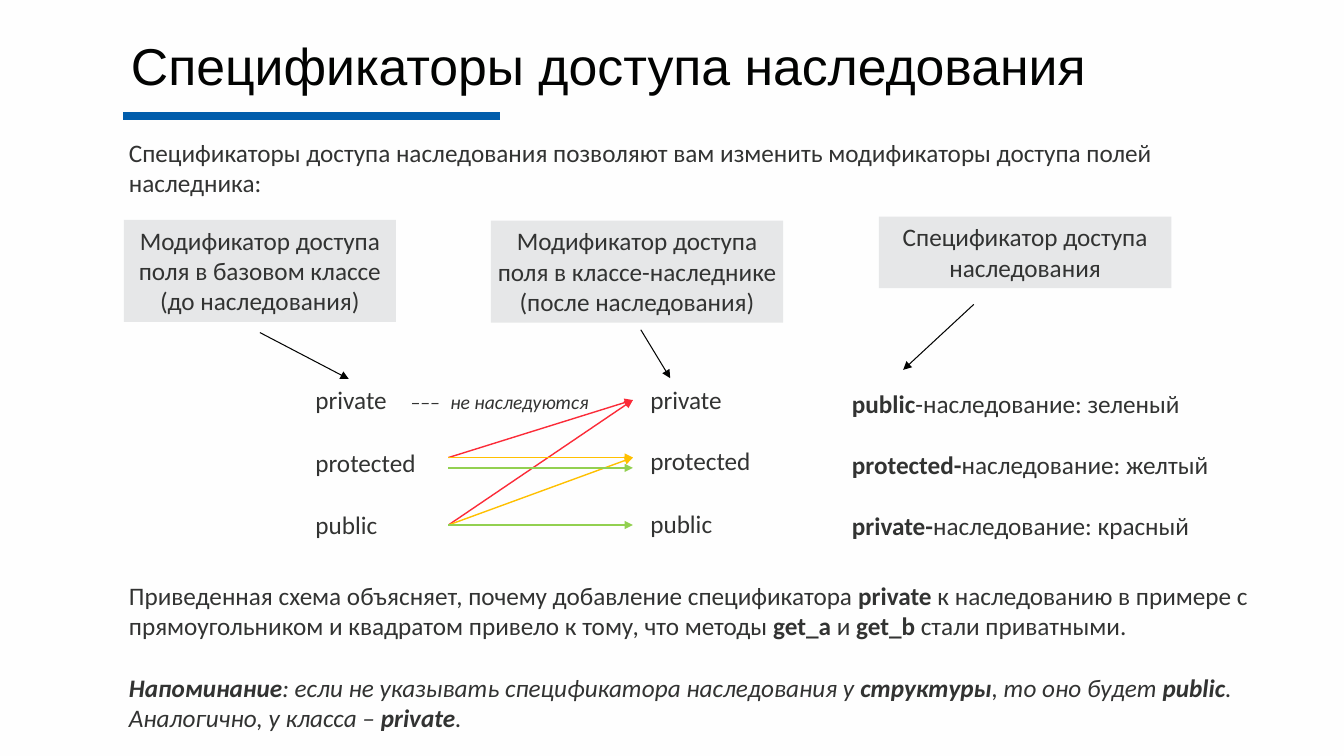
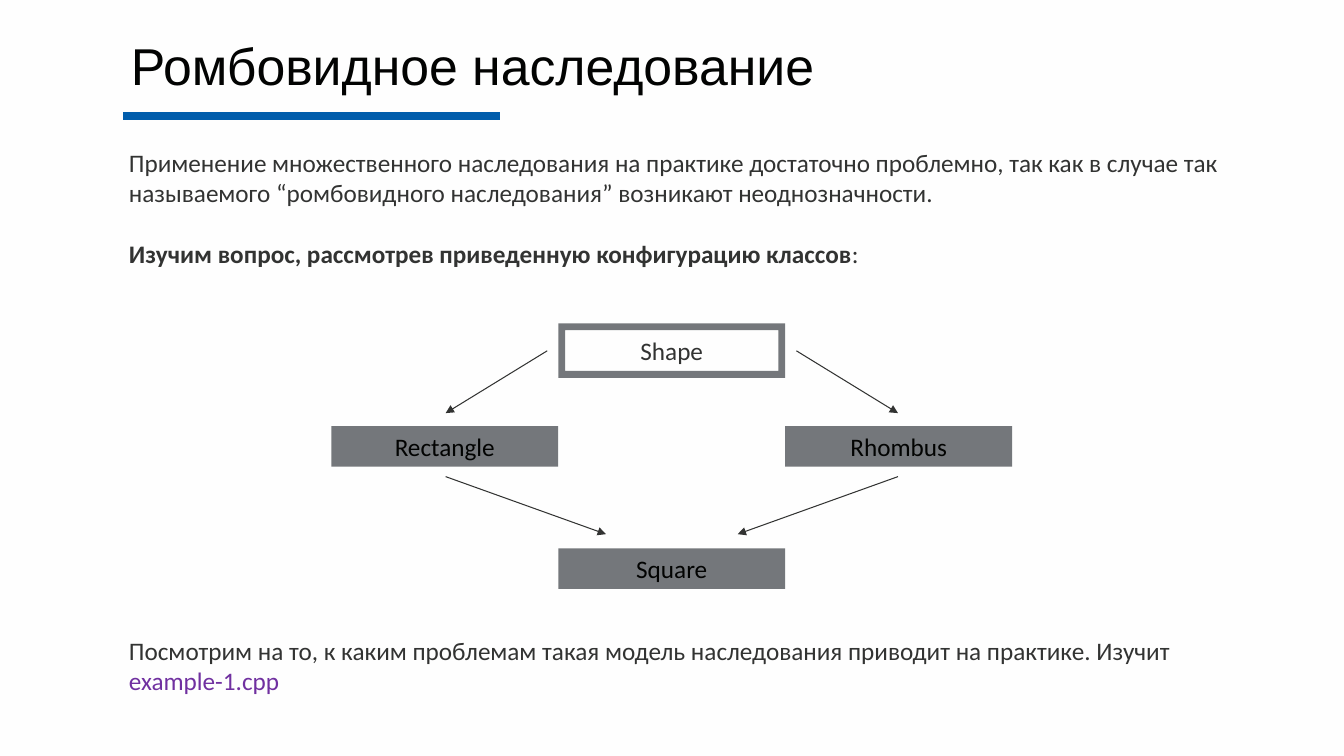
from lxml.etree import SubElement
from pptx import Presentation
from pptx.dml.color import RGBColor
from pptx.enum.shapes import MSO_CONNECTOR, MSO_SHAPE
from pptx.enum.text import MSO_ANCHOR as Anchor, MSO_AUTO_SIZE, PP_ALIGN as Align
from pptx.oxml.ns import qn
from pptx.util import Cm, Pt

PAPER = RGBColor(0xFE, 0xFE, 0xFE)
BLACK = RGBColor(0x02, 0x03, 0x02)
INK = RGBColor(0x32, 0x33, 0x32)
ACCENT = RGBColor(0x01, 0x5D, 0xAC)
PALE = RGBColor(0xE6, 0xE7, 0xE8)
STEEL = RGBColor(0x74, 0x77, 0x7B)
RED = RGBColor(0xFB, 0x2B, 0x38)
YELLOW = RGBColor(0xFF, 0xC0, 0x00)
GREEN = RGBColor(0x92, 0xD0, 0x50)
PURPLE = RGBColor(0x70, 0x30, 0xA0)

LEFT = 3.12
BLANK_LINE = 22
BOLD = {"bold": True}
ITALIC = {"italic": True}
BOLD_ITALIC = {**BOLD, **ITALIC}
NOTE = {"italic": True, "size": Pt(14)}
TITLE_FRAME = {
    "margin_left": Cm(0.18), "margin_top": Cm(0.28), "margin_bottom": 0,
    "vertical_anchor": Anchor.TOP, "auto_size": MSO_AUTO_SIZE.NONE, "word_wrap": True,
}
TEXT_FRAME = {
    **dict.fromkeys(("margin_left", "margin_top", "margin_right", "margin_bottom"), Cm(0.13)),
    "auto_size": MSO_AUTO_SIZE.NONE, "word_wrap": True,
}


def set_all(target, values):
    for name, value in values.items():
        setattr(target, name, value)


def format_font(font, color=INK, **values):
    set_all(font, {"name": "Calibri", "size": Pt(18), **values})
    font.color.rgb = color


def write(frame, paragraphs, align=Align.LEFT, anchor=Anchor.TOP, gap=0, **style):
    """Each paragraph is a list of (text, font values) runs; gap is in points."""
    set_all(frame, {**TEXT_FRAME, "vertical_anchor": anchor})
    for index, pieces in enumerate(paragraphs):
        paragraph = frame.add_paragraph() if index else frame.paragraphs[0]
        paragraph.alignment = align
        if index:
            paragraph.space_before = Pt(gap)
        for words, values in pieces:
            run = paragraph.add_run()
            run.text = words
            format_font(run.font, **{**style, **values})


def add_text(slide, box, *paragraphs, gap=BLANK_LINE):
    textbox = slide.shapes.add_textbox(*map(Cm, box))
    write(textbox.text_frame, paragraphs, gap=gap)
    return textbox


def add_block(slide, box, label, fill, color=INK, kind=MSO_SHAPE.RECTANGLE, anchor=Anchor.TOP):
    block = slide.shapes.add_shape(kind, *map(Cm, box))
    block.shadow.inherit = False
    block.fill.solid()
    block.fill.fore_color.rgb = fill
    block.line.fill.background()
    write(block.text_frame, [[(label, {})]], Align.CENTER, anchor, color=color)


def add_line(slide, start, end, color, width):
    line = slide.shapes.add_connector(MSO_CONNECTOR.STRAIGHT, *map(Cm, (*start, *end)))
    line.line.color.rgb = color
    line.line.width = Pt(width)
    SubElement(line.element.spPr, qn("a:effectLst"))
    return line


def add_arrow(slide, start, end, color=BLACK, width=0.75):
    arrow = add_line(slide, start, end, color, width)
    SubElement(arrow.line._get_or_add_ln(), qn("a:tailEnd"), type="triangle")


def add_tab_stops(paragraph, *positions):
    stops = SubElement(paragraph._p.get_or_add_pPr(), qn("a:tabLst"))
    for position in positions:
        SubElement(stops, qn("a:tab"), pos=str(Cm(position)), algn="l")


def add_titled_slide(deck, title):
    slide = deck.slides.add_slide(deck.slide_layouts[5])
    slide.background.fill.solid()
    slide.background.fill.fore_color.rgb = PAPER
    heading = slide.shapes.title
    set_all(heading, {"left": Cm(LEFT), "top": Cm(1), "width": Cm(27.03), "height": Cm(1.52)})
    heading.text_frame.text = title
    set_all(heading.text_frame, TITLE_FRAME)
    paragraph = heading.text_frame.paragraphs[0]
    set_all(paragraph, {"alignment": Align.LEFT, "line_spacing": 0.7, "space_before": Pt(0)})
    format_font(paragraph.runs[0].font, BLACK, name="Arial", size=Pt(37))
    add_line(slide, (3.1, 2.92), (12.6, 2.92), ACCENT, 6)
    return slide


def build_specifiers(deck):
    slide = add_titled_slide(deck, "Спецификаторы доступа наследования")
    add_text(slide, (LEFT, 3.33, 27.03, 1.8), [
        ("Спецификаторы доступа наследования позволяют вам изменить "
         "модификаторы доступа полей наследника:", {})])

    for box, label in (
        ((LEFT, 5.54, 6.86, 2.57), "Модификатор доступа поля в базовом классе (до наследования)"),
        ((12.37, 5.56, 7.37, 2.57),
         "Модификатор доступа поля в классе-наследнике (после наследования)"),
        ((22.15, 5.46, 7.37, 1.8), "Спецификатор доступа наследования"),
    ):
        add_block(slide, box, label, PALE)
    for start, end in (
        ((6.55, 8.38), (8.79, 9.55)),
        ((16.15, 8.31), (16.89, 9.53)),
        ((24.54, 7.67), (22.76, 9.32)),
    ):
        add_arrow(slide, start, end)

    not_inherited = add_text(slide, (7.82, 9.55, 7.37, 1.02), [
        ("private\t", {}), ("–––\tне наследуются", NOTE)])
    add_tab_stops(not_inherited.text_frame.paragraphs[0], 2.4, 3.4)
    for x, y, width, access in (
        (7.82, 11.15, 2.82, "protected"), (7.82, 12.7, 1.85, "public"),
        (16.26, 9.55, 2.1, "private"), (16.26, 11.1, 2.82, "protected"),
        (16.26, 12.67, 1.85, "public"),
    ):
        add_text(slide, (x, y, width, 1.02), [(access, {})])

    private, protected, protected_low, public = 10.08, 11.53, 11.79, 13.23
    for before, after, color in (
        (protected, private, RED), (public, private, RED),
        (protected, protected, YELLOW), (public, protected, YELLOW),
        (public, public, GREEN), (protected_low, protected_low, GREEN),
    ):
        add_arrow(slide, (11.3, before), (15.95, after), color, 1)

    add_text(
        slide, (21.34, 9.65, 9.7, 4.11),
        [("public", BOLD), ("-наследование: зеленый", {})],
        [("protected-", BOLD), ("наследование: желтый", {})],
        [("private-", BOLD), ("наследование: красный", {})])
    add_text(
        slide, (LEFT, 14.5, 28.83, 4.11),
        [("Приведенная схема объясняет, почему добавление спецификатора ", {}),
         ("private ", BOLD),
         ("к наследованию в примере с прямоугольником и квадратом привело к тому, что методы ", {}),
         ("get_a ", BOLD), ("и ", {}), ("get_b ", BOLD), ("стали приватными.", {})],
        [("Напоминание", BOLD_ITALIC),
         (": если не указывать спецификатора наследования у ", ITALIC),
         ("структуры", BOLD_ITALIC), (", то оно будет ", ITALIC), ("public", BOLD_ITALIC),
         (". Аналогично, у класса – ", ITALIC), ("private", BOLD_ITALIC), (".", ITALIC)])


def build_diamond(deck):
    slide = add_titled_slide(deck, "Ромбовидное наследование")
    add_text(
        slide, (LEFT, 3.58, 28.85, 3.33),
        [("Применение множественного наследования на практике достаточно проблемно, так как "
          "в случае так называемого “ромбовидного наследования” возникают неоднозначности.", {})],
        [("Изучим вопрос, рассмотрев приведенную конфигурацию классов", BOLD), (":", {})])

    width, height, first = 5.72, 1.02, 8.35
    add_block(slide, (first + width, 8.15, width, 1.37), "Shape", STEEL,
              kind=MSO_SHAPE.FRAME, anchor=Anchor.MIDDLE)
    for column, top, name in ((0, 10.74, "Rectangle"), (2, 10.74, "Rhombus"), (1, 13.82, "Square")):
        add_block(slide, (first + column * width, top, width, height), name, STEEL, BLACK,
                  anchor=Anchor.MIDDLE)

    axis = first + 1.5 * width
    for side in (-1, 1):
        add_arrow(slide, (axis + side * 3.14, 8.84), (axis + side * 5.7, 10.41), INK)
        add_arrow(slide, (axis + side * 5.7, 12.01), (axis + side * 1.66, 13.46), INK)

    add_text(slide, (LEFT, 15.88, 28.85, 1.8), [
        ("Посмотрим на то, к каким проблемам такая модель наследования приводит на практике. "
         "Изучит ", {}),
        ("example-1.cpp", {"color": PURPLE})])


def main():
    deck = Presentation()
    deck.slide_width, deck.slide_height = Cm(33.87), Cm(19.05)
    build_specifiers(deck)
    build_diamond(deck)
    deck.save("out.pptx")


if __name__ == "__main__":
    main()
